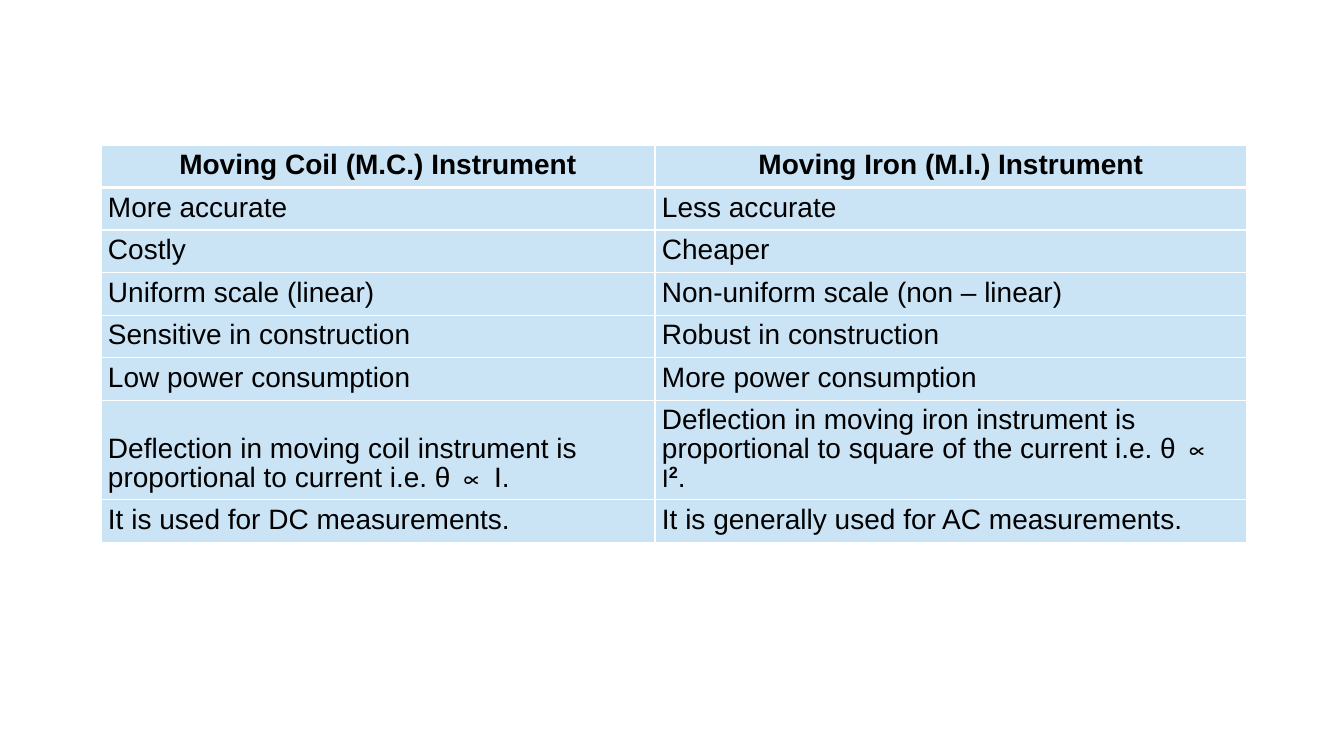
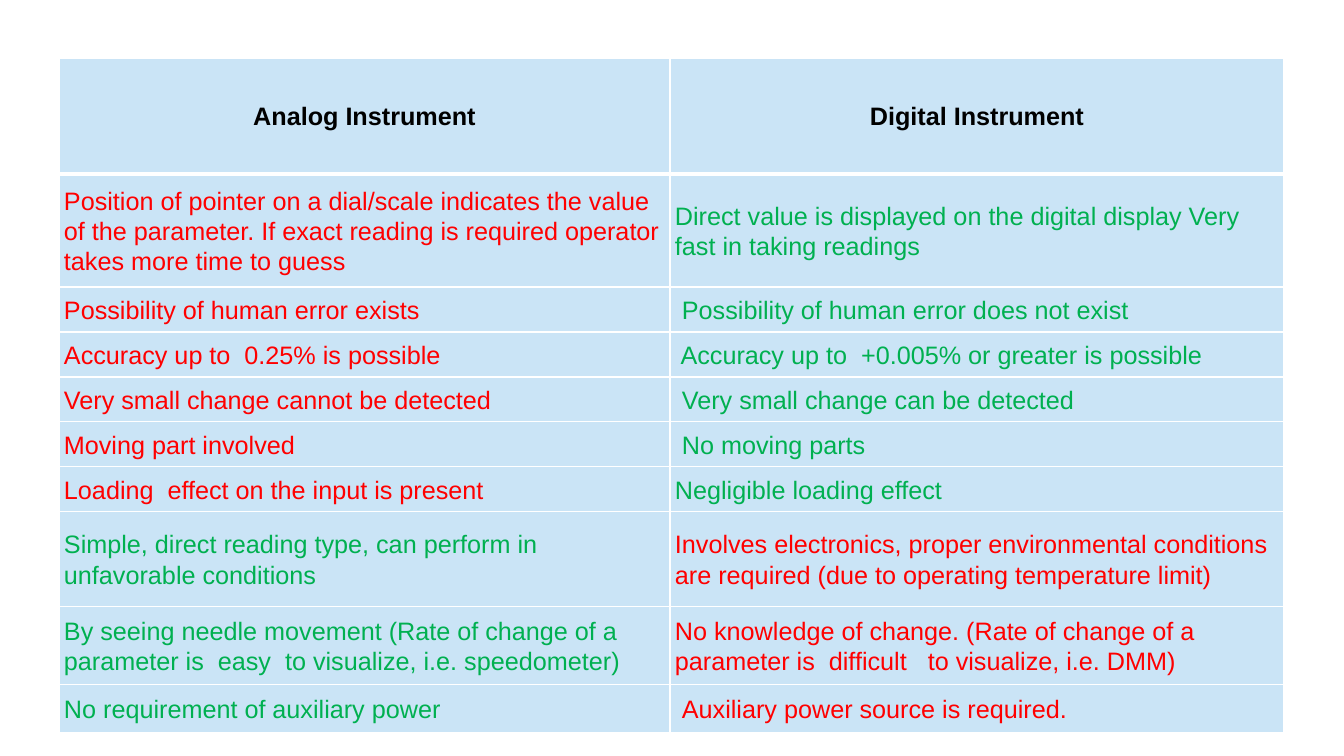
from lxml import etree
from pptx import Presentation
from pptx.dml.color import RGBColor
from pptx.enum.text import MSO_ANCHOR, PP_ALIGN
from pptx.oxml.ns import qn
from pptx.util import Pt

# Shared look
PX = 914400 / 100.8
BLACK = RGBColor(0x00, 0x00, 0x00)
WHITE = RGBColor(0xFF, 0xFF, 0xFF)
PALE_BLUE = RGBColor(0xCA, 0xE4, 0xF6)
RED = RGBColor(0xFF, 0x00, 0x00)
GREEN = RGBColor(0x00, 0xB0, 0x50)
CENTER, LEFT = PP_ALIGN.CENTER, PP_ALIGN.LEFT
MIDDLE, BOTTOM = MSO_ANCHOR.MIDDLE, MSO_ANCHOR.BOTTOM
FONT = "Arial"


def px(length):
    return round(length * PX)


def add_border(cell, side, points):
    line = etree.SubElement(cell._tc.get_or_add_tcPr(), qn(f"a:{side}"), w=str(Pt(points)))
    fill = etree.SubElement(line, qn("a:solidFill"))
    etree.SubElement(fill, qn("a:srgbClr"), val=str(WHITE))


# Coil and iron: a cell is a text, or a list of runs with their own format
iron_deflection = [
    ("Deflection in moving iron instrument is proportional to square of the current i.e. θ ∝ ", {}),
    ("I", {"size": Pt(18)}),
    ("2", {"bold": True, "superscript": True}),
    (".", {}),
]
coil_iron = {
    "at": (101, 145),
    "columns": (554, 592),
    "heights": [40] * 6 + [60, 42],
    "inset": 7,
    "anchor": BOTTOM,
    "size": Pt(20),
    "paragraph": {"line_spacing": Pt(20.4)},
    "colors": [(BLACK, BLACK)] * 8,
    "rows": [
        ("Moving Coil (M.C.) Instrument", "Moving Iron (M.I.) Instrument"),
        ("More accurate", "Less accurate"),
        ("Costly", "Cheaper"),
        ("Uniform scale (linear)", "Non-uniform scale (non – linear)"),
        ("Sensitive in construction", "Robust in construction"),
        ("Low power consumption", "More power consumption"),
        ("Deflection in moving coil instrument is proportional to current i.e. θ ∝ I.",
         iron_deflection),
        ("It is used for DC measurements.", "It is generally used for AC measurements."),
    ],
}

# Analog and digital: green marks the better side of each row
analog_digital = {
    "at": (59, 58),
    "columns": (611, 614),
    "heights": [116, 113] + [45] * 5 + [95, 78, 48],
    "inset": 5,
    "anchor": MIDDLE,
    "size": Pt(18),
    "paragraph": {"line_spacing": 1.07, "space_after": Pt(8)},
    "colors": [(BLACK, BLACK)] + [(RED, GREEN)] * 6 + [(GREEN, RED)] * 3,
    "rows": [
        ("Analog Instrument", "Digital\u00a0Instrument"),
        ("Position of pointer on a dial/scale indicates the value of the parameter. "
         "If exact reading is required operator takes more time to guess",
         "Direct value is displayed on the digital display Very fast in taking readings "),
        ("Possibility of human error exists",
         "\u00a0Possibility of human error does not exist\u00a0"),
        ("Accuracy up to \u00a00.25% is possible ",
         " Accuracy up to \u00a0+0.005% or greater is possible "),
        ("Very small change cannot be detected ", "\u00a0Very small change can be detected "),
        ("Moving part involved", "\u00a0No moving parts"),
        ("Loading  effect on the input is present", "Negligible loading effect"),
        ("Simple, direct reading type, can perform in unfavorable conditions\u00a0",
         "Involves electronics, proper environmental conditions are required "
         "(due to operating temperature limit)"),
        ("By seeing needle movement (Rate of change of a parameter is  easy  to visualize, "
         "i.e. speedometer)",
         "No knowledge of change. (Rate of change of a parameter is  difficult   to visualize, "
         "i.e. DMM)"),
        ("No requirement of auxiliary power", "\u00a0Auxiliary power source is required. "),
    ],
}

prs = Presentation()
prs.slide_width, prs.slide_height = px(1344), px(756)
blank_layout = prs.slide_layouts[6]

# One comparison table per slide
for comparison in (coil_iron, analog_digital):
    slide = prs.slides.add_slide(blank_layout)
    left, top = comparison["at"]
    columns, heights = comparison["columns"], comparison["heights"]
    table = slide.shapes.add_table(len(heights), len(columns), px(left), px(top),
                                   px(sum(columns)), px(sum(heights))).table
    table.horz_banding = False
    for column, width in zip(table.columns, columns):
        column.width = px(width)

    for r, texts in enumerate(comparison["rows"]):
        table.rows[r].height = px(heights[r])
        is_header = r == 0
        for c, content in enumerate(texts):
            # Cell box
            cell = table.cell(r, c)
            for margin in ("margin_left", "margin_right", "margin_top", "margin_bottom"):
                setattr(cell, margin, px(comparison["inset"]))
            cell.vertical_anchor = comparison["anchor"]
            for side in ("lnL", "lnR", "lnT", "lnB"):
                header_rule = (is_header and side == "lnB") or (r == 1 and side == "lnT")
                add_border(cell, side, 3 if header_rule else 1)
            cell.fill.solid()
            cell.fill.fore_color.rgb = PALE_BLUE

            # Cell text
            paragraph = cell.text_frame.paragraphs[0]
            paragraph.alignment = CENTER if is_header else LEFT
            for name, value in comparison["paragraph"].items():
                setattr(paragraph, name, value)
            runs = [(content, {})] if isinstance(content, str) else content
            for text, changes in runs:
                run = paragraph.add_run()
                run.text = text
                run.font.color.rgb = comparison["colors"][r][c]
                look = {"name": FONT, "size": comparison["size"], "bold": is_header, **changes}
                if look.pop("superscript", False):
                    run.font._element.set("baseline", "30000")
                for name, value in look.items():
                    setattr(run.font, name, value)

prs.save("out.pptx")
